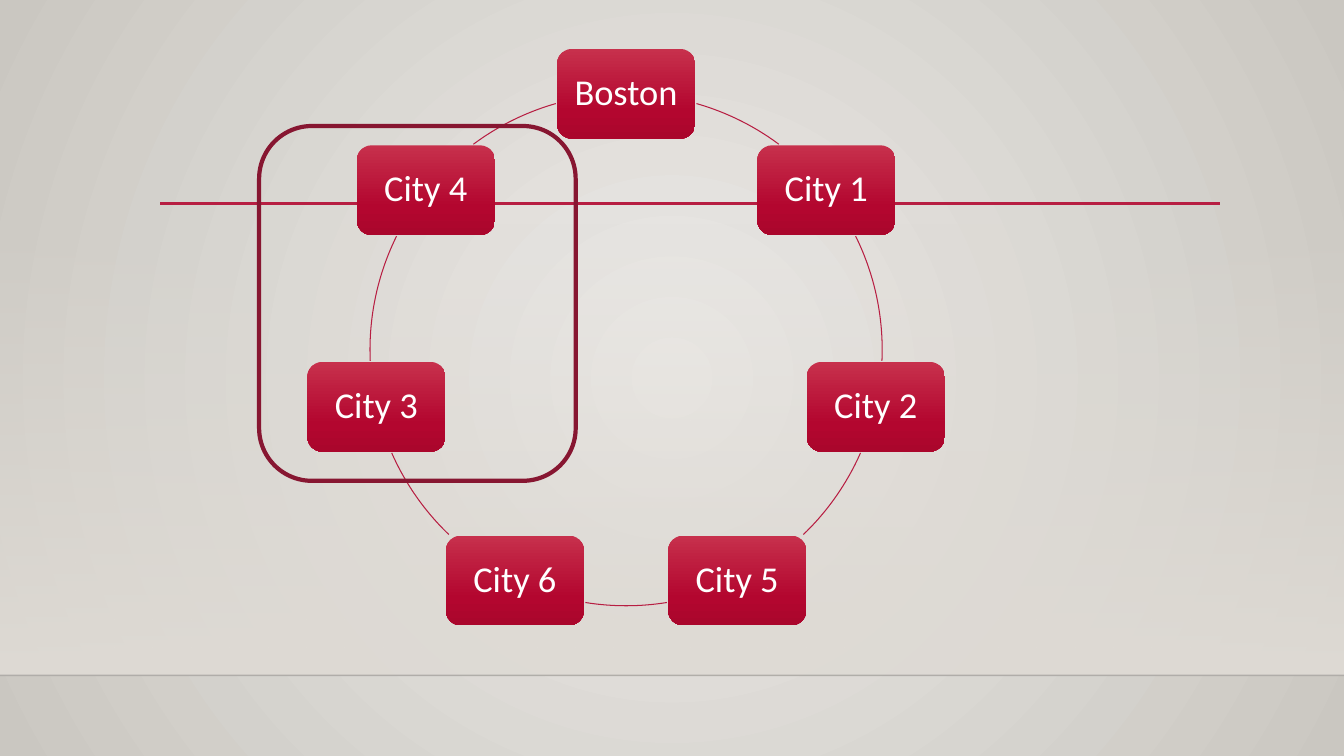
import math
from dataclasses import dataclass

from lxml import etree
from pptx import Presentation
from pptx.dml.color import RGBColor
from pptx.enum.shapes import MSO_CONNECTOR, MSO_SHAPE
from pptx.enum.text import MSO_ANCHOR, PP_ALIGN
from pptx.oxml.ns import qn
from pptx.util import Emu, Pt

RECTANGLE = MSO_SHAPE.RECTANGLE
ROUNDED = MSO_SHAPE.ROUNDED_RECTANGLE
FRAME = MSO_SHAPE.FLOWCHART_ALTERNATE_PROCESS
ARC = MSO_SHAPE.ARC
STRAIGHT = MSO_CONNECTOR.STRAIGHT
MIDDLE = MSO_ANCHOR.MIDDLE
CENTER = PP_ALIGN.CENTER

EMU_PER_PX = 9144  # 100 px to the inch
PAGE_WIDTH, PAGE_HEIGHT = 1333, 750
CITIES = ["Boston", "City 1", "City 2", "City 5", "City 6", "City 3", "City 4"]


@dataclass(frozen=True)
class Theme:
    # Gradient stops: position in percent, colour, opacity in percent
    backdrop: tuple = ((0, "ECEAE7", 100), (100, "CAC7C1", 100))
    wall: tuple = ((0, "DFDBD5", 0), (100, "DFDBD5", 100))
    city: tuple = ((0, "C7304C", 100), (69, "B3062F", 100), (100, "AA062C", 100))
    accent: str = "B71E42"
    frame: str = "871631"
    floor: str = "000001"
    label: str = "FFFFFF"
    font: str = "Calibri"
    label_size: int = 26


THEME = Theme()


def px(length):
    return Emu(round(length * EMU_PER_PX))


def set_gradient(fill, element, stops, circular=False):
    """Fill with a gradient that runs downwards, or outwards from the centre."""
    fill.solid()
    solid = element.find(".//" + qn("a:solidFill"))
    gradient = etree.Element(qn("a:gradFill"), rotWithShape="1")
    stop_list = etree.SubElement(gradient, qn("a:gsLst"))
    for position, color, opacity in stops:
        stop = etree.SubElement(stop_list, qn("a:gs"), pos=str(position * 1000))
        tint = etree.SubElement(stop, qn("a:srgbClr"), val=color)
        if opacity < 100:
            etree.SubElement(tint, qn("a:alpha"), val=str(opacity * 1000))
    if circular:
        path = etree.SubElement(gradient, qn("a:path"), path="circle")
        sides = dict.fromkeys("ltrb", "50000")
        etree.SubElement(path, qn("a:fillToRect"), sides)
    else:
        etree.SubElement(gradient, qn("a:lin"), ang="5400000", scaled="0")
    solid.getparent().replace(solid, gradient)


def set_line(line, color, width):
    line.color.rgb = RGBColor.from_string(color)
    line.width = Pt(width)


def add_box(page, kind, box, stops=None, line=None):
    shape = page.shapes.add_shape(kind, *map(px, box))
    shape.shadow.inherit = False
    if stops:
        set_gradient(shape.fill, shape.element, stops)
    else:
        shape.fill.background()
    if line:
        set_line(shape.line, *line)
    else:
        shape.line.fill.background()
    return shape


def add_rule(page, left, right, top, color, width, opacity=100):
    rule = page.shapes.add_connector(STRAIGHT, px(left), px(top), px(right), px(top))
    set_line(rule.line, color, width)
    if opacity < 100:
        tint = rule.element.find(".//" + qn("a:srgbClr"))
        etree.SubElement(tint, qn("a:alpha"), val=str(opacity * 1000))
    etree.SubElement(rule.element.spPr, qn("a:effectLst"))


def write_text(shape, text, font, size, color):
    frame = shape.text_frame
    frame.word_wrap = True
    frame.vertical_anchor = MIDDLE
    frame.margin_left = frame.margin_right = px(11)
    frame.margin_top = frame.margin_bottom = px(11)
    para = frame.paragraphs[0]
    para.alignment = CENTER
    para.line_spacing = 0.9
    span = para.add_run()
    span.text = text
    span.font.name = font
    span.font.size = Pt(size)
    span.font.color.rgb = RGBColor.from_string(color)


def draw_backdrop(page, box):
    left, top, width, height = box
    set_gradient(page.background.fill, page.element, THEME.backdrop, circular=True)
    # Wall, fading in down to the floor line
    wall_top, floor_top = top + 221, top + 670
    add_box(page, RECTANGLE, (left, wall_top, width, floor_top - wall_top), THEME.wall)
    add_rule(page, left, left + width, floor_top, THEME.floor, 1, opacity=20)
    # Title rule
    add_rule(page, left + 159, left + 1210, top + 202, THEME.accent, 2.5)


def draw_city_ring(page, box, cities, city_width=137, city_height=89):
    """Place the cities clockwise on the circle in the box, with arcs between them."""
    left, top, diameter, _ = box
    radius = diameter / 2
    step = 360 / len(cities)

    def offset(bearing):
        angle = math.radians(bearing)
        return radius * math.sin(angle), -radius * math.cos(angle)

    def is_clear(bearing, city_bearing, gap=1):
        x, y = offset(bearing)
        city_x, city_y = offset(city_bearing)
        return (abs(x - city_x) > city_width / 2 + gap
                or abs(y - city_y) > city_height / 2 + gap)

    for index, name in enumerate(cities):
        # City
        bearing = index * step
        x, y = offset(bearing)
        city_box = (left + radius + x - city_width / 2,
                    top + radius + y - city_height / 2, city_width, city_height)
        city = add_box(page, ROUNDED, city_box, THEME.city)
        write_text(city, name, font=THEME.font, size=THEME.label_size, color=THEME.label)

        # Visible part of the circle up to the next city
        samples = [bearing + step * part / 500 for part in range(501)]
        visible = [sample for sample in samples
                   if is_clear(sample, bearing) and is_clear(sample, bearing + step)]
        arc = add_box(page, ARC, box, line=(THEME.accent, 0.75))
        for end, sample in enumerate((visible[0], visible[-1])):
            # Arc angles are 60000ths of a degree, set in units of 100000
            arc.adjustments[end] = (sample - 90) % 360 * 0.6


def draw_highlight(page, box):
    add_box(page, FRAME, box, line=(THEME.frame, 3))


def main():
    deck = Presentation()
    deck.slide_width, deck.slide_height = px(PAGE_WIDTH), px(PAGE_HEIGHT)
    page = deck.slides.add_slide(deck.slide_layouts[6])
    draw_backdrop(page, (0, 0, PAGE_WIDTH, PAGE_HEIGHT))
    draw_city_ring(page, (367, 93, 508, 508), CITIES)
    draw_highlight(page, (257, 125, 314, 352))
    deck.save("out.pptx")


if __name__ == "__main__":
    main()
